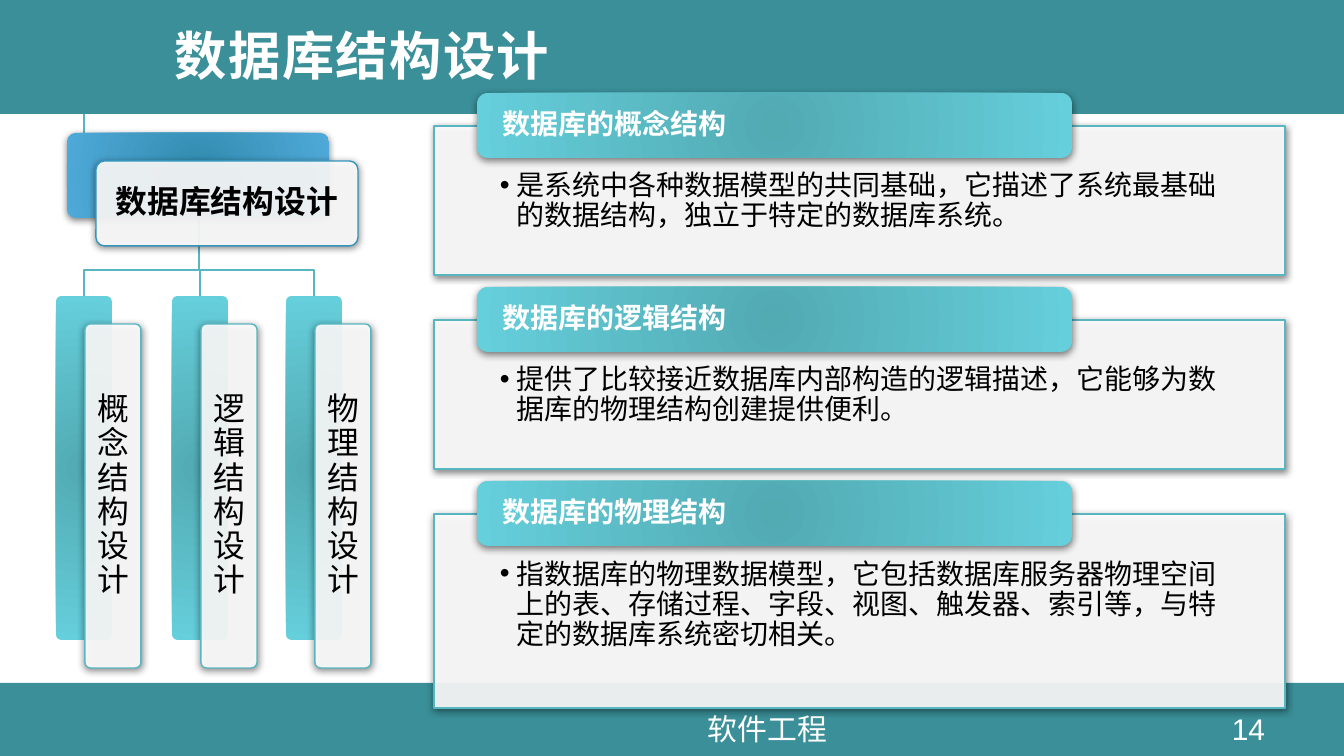
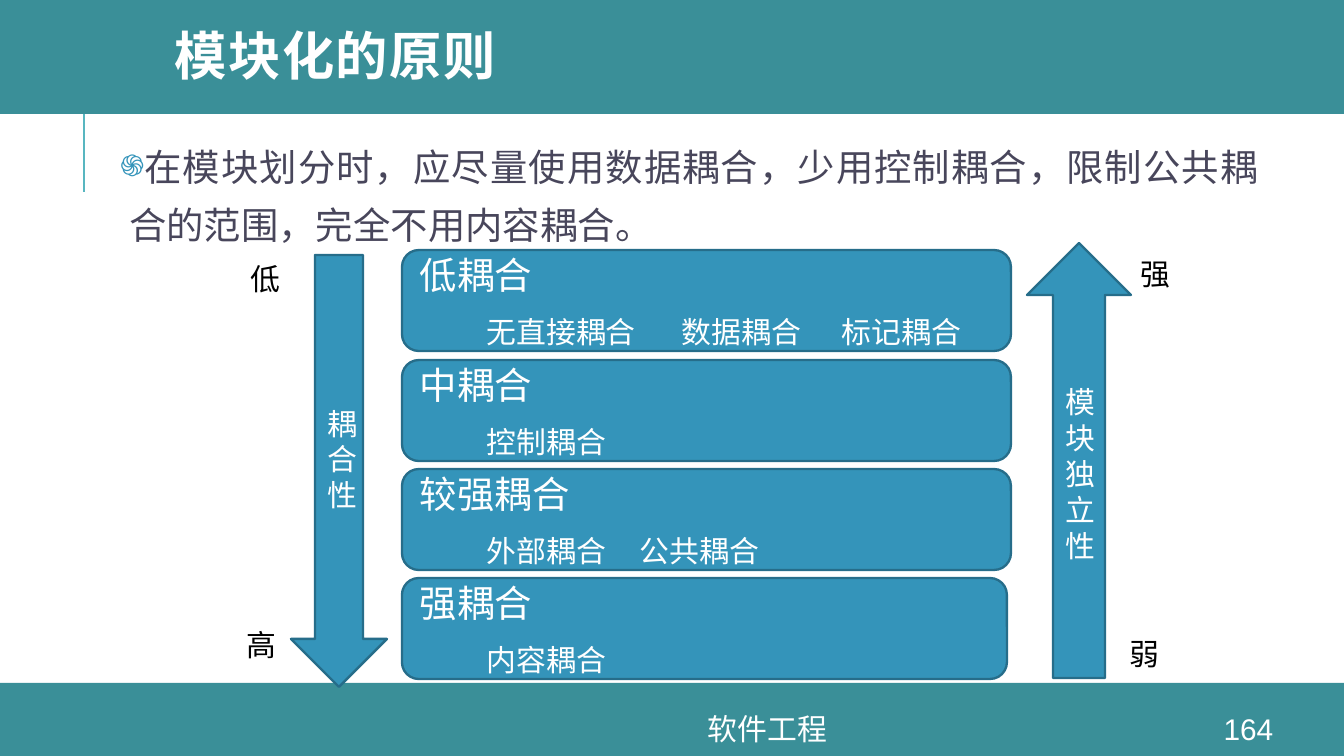
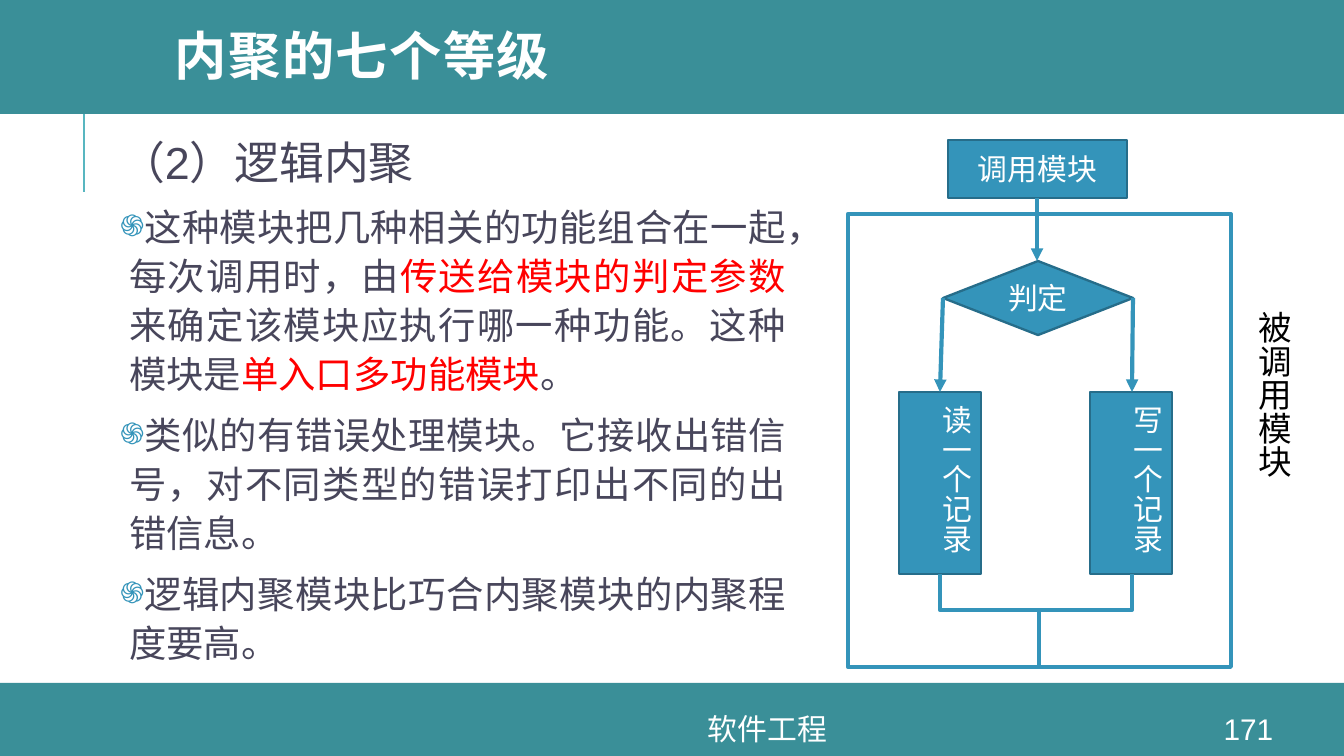
from lxml.etree import SubElement as Sub
from pptx import Presentation
from pptx.dml.color import RGBColor as RGB
from pptx.enum.shapes import MSO_CONNECTOR as Conn, MSO_SHAPE as Kind
from pptx.enum.text import MSO_ANCHOR as Anchor, PP_ALIGN as Align
from pptx.oxml.ns import qn
from pptx.util import Pt

SCALE = 914400 / 134.4
WIDTH, HEIGHT = 1344, 756
INK = {
    "band": "3A8F98", "teal": "58B6C0", "deep": "52AAB3", "light": "65CFDB",
    "blue": "3494BA", "edge": "266D8A", "navy": "308AAD", "sky": "50AAD9",
    "body": "48465B", "red": "FF0000", "white": "FFFFFF", "black": "000000",
}


def px(num):
    """Turn px into EMU."""
    return round(num * SCALE)


def tint(name):
    """Return a named colour."""
    return RGB.from_string(INK[name])


def node(root, tag, **attrs):
    """Add a drawing element under root."""
    return Sub(root, qn("a:" + tag), {key: str(val) for key, val in attrs.items()})


def stroke(item, name, width):
    """Set the line of a shape or connector."""
    item.line.color.rgb = tint(name)
    item.line.width = Pt(width)


def shape(slide, kind, box, fill=None, line=None, width=1.25, adj=None):
    """Add a preset shape without shadow."""
    item = slide.shapes.add_shape(kind, *map(px, box))
    item.shadow.inherit = False
    if fill:
        item.fill.solid()
        item.fill.fore_color.rgb = tint(fill)
    else:
        item.fill.background()
    if line:
        stroke(item, line, width)
    else:
        item.line.fill.background()
    if adj is not None:
        item.adjustments[0] = adj
    return item


def cast(item):
    """Give a shape a soft drop shadow."""
    glow = item._element.spPr.find(qn("a:effectLst"))
    drop = node(glow, "outerShdw", blurRad=50800, dist=12700, dir=5400000,
                algn="ctr", rotWithShape=0)
    node(node(drop, "srgbClr", val=INK["black"]), "alpha", val=50000)


def glaze(item, first, last):
    """Fill a shape with a round gradient."""
    item.fill.gradient()
    grad = item._element.spPr.find(qn("a:gradFill"))
    for kid in list(grad):
        grad.remove(kid)
    stops = node(grad, "gsLst")
    for pos, name in ((0, first), (100000, last)):
        node(node(stops, "gs", pos=pos), "srgbClr", val=INK[name])
    edges = dict.fromkeys("ltrb", 100000)
    node(node(grad, "path", path="circle"), "fillToRect", **edges)


def pane(slide, kind, box, line="teal", adj=None):
    """Add a nearly opaque white panel."""
    item = shape(slide, kind, box, "white", line, 0.75, adj)
    node(item._element.spPr.find(qn("a:solidFill"))[0], "alpha", val=90000)
    cast(item)


def frame(item, anchor=Anchor.MIDDLE, inset=(13, 7, 13, 7), vert=None):
    """Prepare the text frame of a shape."""
    text = item.text_frame
    text.word_wrap = True
    text.vertical_anchor = anchor
    (text.margin_left, text.margin_top,
     text.margin_right, text.margin_bottom) = map(px, inset)
    if vert:
        text._txBody.bodyPr.set("vert", vert)
    return text


def label(slide, box, **look):
    """Add a text box and return its frame."""
    return frame(slide.shapes.add_textbox(*map(px, box)), **look)


def say(text, runs, size, name="white", bold=False, align=Align.LEFT,
        space=None, before=0, bullet=None, tabs=(), font="Arial", track=0):
    """Write one paragraph; runs is a string or (text, colour) pairs."""
    para = text.paragraphs[0]
    if para.runs:
        para = text.add_paragraph()
        para.space_before = Pt(before)
    para.alignment = align
    prop = para._p.get_or_add_pPr()
    if bullet:
        char, left, hang, color = bullet
        prop.set("marL", str(px(left)))
        prop.set("indent", str(px(hang)))
        if color:
            node(node(prop, "buClr"), "srgbClr", val=INK[color])
            node(prop, "buSzPct", val=80000)
        node(prop, "buFont", typeface=font)
        node(prop, "buChar", char=char)
    if tabs:
        stops = node(prop, "tabLst")
        for stop in tabs:
            node(stops, "tab", pos=px(stop), algn="l")
    if space:
        para.line_spacing = space
    for words, color in [(runs, name)] if isinstance(runs, str) else runs:
        run = para.add_run()
        run.text = words
        run.font.name = font
        run.font.size = Pt(size)
        run.font.bold = bold
        run.font.color.rgb = tint(color)
        if track:
            run._r.get_or_add_rPr().set("spc", str(track))


def link(slide, start, end, name="blue", width=2.25, arrow=False, kind=Conn.STRAIGHT):
    """Add a connector between two points."""
    item = slide.shapes.add_connector(kind, *map(px, (*start, *end)))
    stroke(item, name, width)
    prop = item._element.spPr
    if arrow:
        node(prop.find(qn("a:ln")), "tailEnd", type="triangle")
    node(prop, "effectLst")
    return item


def elbow(slide, start, end):
    """Add a connector that runs down, then across."""
    (x1, y1), (x2, y2) = start, end
    midx, midy = (x1 + x2) / 2, (y1 + y2) / 2
    dx, dy = abs(x2 - x1) / 2, (y2 - y1) / 2
    side = 1 if x2 > x1 else -1
    item = link(slide, (midx + side * dy, midy - dx),
                (midx - side * dy, midy + dx), kind=Conn.ELBOW)
    prop = item._element.spPr
    prop.find(qn("a:xfrm")).set("rot", str((270 if side > 0 else 90) * 60000))
    prop.find(qn("a:prstGeom")).set("prst", "bentConnector2")


def base(deck, title, page):
    """Start a slide with bands, title and footer."""
    slide = deck.slides.add_slide(deck.slide_layouts[6])
    link(slide, (84, 192), (84, 91), "teal", 1.5)
    for box in ((0, 683, WIDTH, 73), (0, -4, WIDTH, 118)):
        shape(slide, Kind.RECTANGLE, box, "band")
    say(label(slide, (162, 0, 1141, 121)), title, 28, bold=True, space=0.8,
        font="Montserrat", track=80)
    for words, box in (("软件工程", (350, 713, 835, 31)), (page, (1195, 713, 107, 31))):
        say(label(slide, box), words, 16, align=Align.CENTER)
    return slide


def card(slide, box, words, fills, line, bold=False, cast_back=False):
    """Draw a tinted block with an offset white label."""
    x, y, w, h = box
    back = shape(slide, Kind.ROUNDED_RECTANGLE, box, "white", adj=0.1)
    glaze(back, *fills)
    if cast_back:
        cast(back)
    pane(slide, Kind.ROUNDED_RECTANGLE, (x + 29, y + 28, w, h), line, 0.1)
    text = label(slide, (x + 31, y + 30, w - 4, h - 4), inset=(9, 9, 9, 9))
    say(text, words, 17, "black", bold, Align.CENTER, 0.9)


def tree(slide, box):
    """Draw the root card and its three branches."""
    x, y, w, h = box
    mid, top, bar, low = x + 143, y + 85, y + 137, y + 163
    lefts = [x + step for step in (0, 116, 230)]
    for left in lefts:
        end = left + 28
        path = slide.shapes.build_freeform(px(mid), px(top), scale=1)
        path.add_line_segments([(px(a), px(b)) for a, b in
                                ((mid, bar), (end, bar), (end, low))], close=False)
        item = path.convert_to_shape()
        item.shadow.inherit = False
        item.fill.background()
        stroke(item, "teal", 1.25)
    card(slide, (x + 11, y, 262, 85), "数据库结构设计", ("navy", "sky"), "blue", True, True)
    for left, words in zip(lefts, ("概念结构设计", "逻辑结构设计", "物理结构设计")):
        card(slide, (left, low, 56, h - 191), words, ("deep", "light"), "teal")


def topic(slide, box, head, words):
    """Draw a framed note with a raised heading."""
    x, y, w, h = box
    pane(slide, Kind.RECTANGLE, box)
    text = label(slide, box, anchor=Anchor.TOP, inset=(66, 46, 66, 16))
    say(text, words, 15, "black", space=0.9, bullet=("•", 17, -17, None))
    item = shape(slide, Kind.ROUNDED_RECTANGLE, (x + 43, y - 33, 595, 65), "white")
    glaze(item, "deep", "light")
    cast(item)
    text = label(slide, (x + 46, y - 30, 590, 59), inset=(23, 0, 23, 0))
    say(text, head, 15, bold=True, space=0.9)


def design(deck):
    """Build the database design slide."""
    slide = base(deck, "数据库结构设计", "14")
    tree(slide, (56, 133, 315, 535))
    topics = (
        ("概念", 149, "是系统中各种数据模型的共同基础，它描述了系统最基础的数据结构，独立于特定的数据库系统。"),
        ("逻辑", 149, "提供了比较接近数据库内部构造的逻辑描述，它能够为数据库的物理结构创建提供便利。"),
        ("物理", 194, "指数据库的物理数据模型，它包括数据库服务器物理空间上的表、存储过程、字段、视图、触发器、索引等，与特定的数据库系统密切相关。"),
    )
    for row, (kind, tall, words) in enumerate(topics):
        topic(slide, (434, 126 + 194 * row, 851, tall), f"数据库的{kind}结构", words)


def prose(slide, box, paras, space, before, head=None):
    """Write the justified body text."""
    text = label(slide, box, anchor=Anchor.TOP, inset=(7, 7, 7, 7))
    look = dict(name="body", align=Align.JUSTIFY, space=space, before=before)
    if head:
        say(text, head, 24, **look)
    for runs in paras:
        say(text, runs, 20, bullet=("֍", 9, -63, "blue"), **look)


def scale(slide, box):
    """Draw the four levels between two arrows."""
    x, y, w, h = box
    levels = (
        ("低耦合", ("无直接耦合", "数据耦合", "标记耦合"), (67, 262, 422), 609),
        ("中耦合", ("控制耦合",), (67,), 609),
        ("较强耦合", ("外部耦合", "公共耦合"), (67, 220), 609),
        ("强耦合", ("内容耦合",), (67,), 605),
    )
    for row, (head, names, tabs, wide) in enumerate(levels):
        spot = (x + 154, y + 7 + round(109.5 * row), wide, 101)
        text = frame(shape(slide, Kind.ROUNDED_RECTANGLE, spot, "blue", "edge"))
        say(text, head, 20)
        say(text, "".join("\t" + name for name in names), 16, before=9, tabs=tabs)
    arrows = (
        (Kind.DOWN_ARROW, (x + 43, y + 12, 96, 432), "耦合性"),
        (Kind.UP_ARROW, (x + 779, y, 104, 435), "模块独立性"),
    )
    for kind, spot, words in arrows:
        say(frame(shape(slide, kind, spot, "blue", "edge")), words, 16, align=Align.CENTER)
    ends = (("低", -10, 11), ("高", -14, 377), ("强", 880, 6), ("弱", 869, 386))
    for words, dx, dy in ends:
        text = label(slide, (x + dx, y + dy, 58, 50), anchor=Anchor.TOP)
        say(text, words, 16, "black")


def rules(deck):
    """Build the coupling slide."""
    slide = base(deck, "模块化的原则", "164")
    words = "在模块划分时，应尽量使用数据耦合，少用控制耦合，限制公共耦合的范围，完全不用内容耦合。"
    prose(slide, (113, 124, 1152, 559), [words], 1.3, 12)
    scale(slide, (248, 243, 921, 444))


def flow(slide, box):
    """Draw the call chart."""
    x, y, w, h = box
    upright = dict(anchor=Anchor.TOP, inset=(7, 13, 7, 13), vert="eaVert")

    def step(kind, spot, words, **look):
        """Add one labelled step."""
        dx, dy, wide, tall = spot
        item = shape(slide, kind, (x + dx, y + dy, wide, tall), "blue", "edge")
        say(frame(item, **look), words, 16, align=Align.CENTER)

    step(Kind.RECTANGLE, (100, 0, 179, 58), "调用模块")
    shape(slide, Kind.RECTANGLE, (x, y + 74, 383, h - 74), None, "blue", 2.25)
    text = label(slide, (x + 386, y + 158, 67, 225), **upright)
    say(text, "被调用模块", 18, "black")
    step(Kind.DIAMOND, (95, 121, 190, 74), "判定")
    for dx, words in ((51, "读一个记录"), (242, "写一个记录")):
        step(Kind.RECTANGLE, (dx, 252, 82, 182), words, **upright)
    for x1, y1, x2, y2 in ((189, 58, 189, 121), (95, 158, 92, 252), (285, 158, 284, 252)):
        link(slide, (x + x1, y + y1), (x + x2, y + y2), arrow=True)
    for dx in (92, 284):
        elbow(slide, (x + dx, y + 434), (x + 208, y + 470))
    link(slide, (x + 191, y + h), (x + 191, y + 470))


def bond(deck):
    """Build the cohesion slide."""
    slide = base(deck, "内聚的七个等级", "171")
    paras = (
        (("这种模块把几种相关的功能组合在一起，每次调用时，由", "body"),
         ("传送给模块的判定参数", "red"),
         ("来确定该模块应执行哪一种功能。这种模块是", "body"),
         ("单入口多功能模块", "red"), ("。", "body")),
        "类似的有错误处理模块。它接收出错信号，对不同类型的错误打印出不同的出错信息。",
        "逻辑内聚模块比巧合内聚模块的内聚程度要高。",
    )
    prose(slide, (113, 122, 680, 552), paras, 1.1, 6, "（2）逻辑内聚")
    flow(slide, (848, 140, 453, 527))


def main():
    """Build and save the deck."""
    deck = Presentation()
    deck.slide_width, deck.slide_height = px(WIDTH), px(HEIGHT)
    for build in (design, rules, bond):
        build(deck)
    deck.save("out.pptx")


if __name__ == "__main__":
    main()
